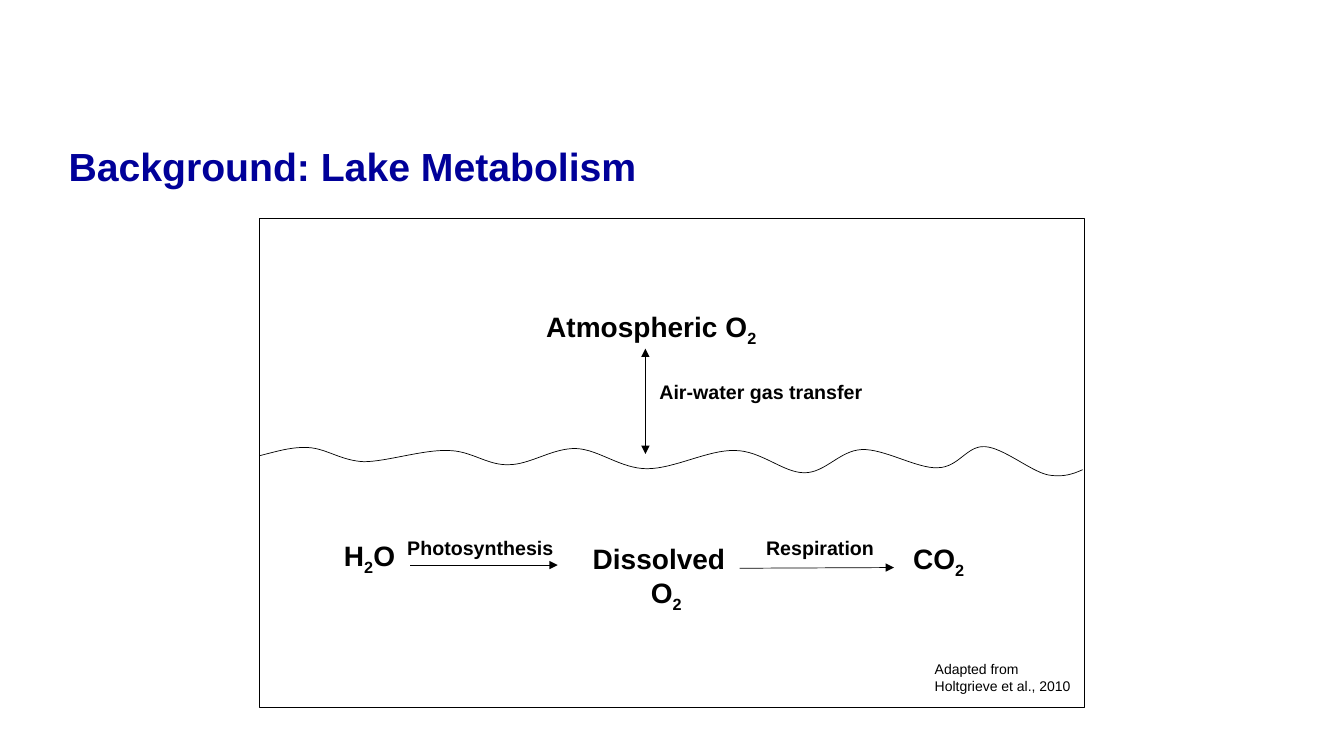
from pptx import Presentation
from pptx.dml.color import RGBColor
from pptx.enum.shapes import MSO_CONNECTOR, MSO_SHAPE
from pptx.enum.text import PP_ALIGN
from pptx.oxml.ns import qn
from pptx.util import Pt
from lxml.etree import SubElement

BLACK, NAVY = "000000", "000099"
TITLE = dict(size=Pt(28), bold=True)
SPECIES = dict(size=Pt(20), bold=True)
PROCESS = dict(size=Pt(14), bold=True)
CREDIT = dict(size=Pt(10), bold=False)

# text between underscores is subscript: name, lines, (left, top, width, height), format
LABELS = [
    ("atmosphere", ["Atmospheric O_2_"], (390.2, 221, 158, 38), SPECIES),
    ("water", ["H_2_O"], (245.7, 384.6, 47.5, 38), SPECIES),
    ("dissolved", ["Dissolved", "O_2_"], (423.4, 386.9, 105, 38), SPECIES),
    ("carbon", ["CO_2_"], (652.3, 386.9, 105, 38), SPECIES),
    ("transfer", ["Air-water gas transfer"], (471, 271.4, 213, 38), PROCESS),
    ("photosynthesis", ["Photosynthesis"], (290.9, 382.6, 110, 21), PROCESS),
    ("respiration", ["Respiration"], (547.2, 382.6, 105, 21), PROCESS),
    ("credit", ["Adapted from", "Holtgrieve et al., 2010"], (667.7, 471.6, 102, 31), CREDIT),
]
# start, end, label the arrow leaves, arrowheads
ARROWS = [
    ((461, 249), (461, 324.3), None, ("headEnd", "tailEnd")),
    ((293.2, 403.6), (398.4, 403.6), "water", ("tailEnd",)),
    ((528.4, 405.9), (638.6, 405.4), "dissolved", ("tailEnd",)),
]
FRAME = (185.3, 156.2, 589.4, 349.2)
SURFACE_START = (185.8, 325.4)
# two control points and an end point for each curve
SURFACE = [
    ((197.3, 322.6), (208.1, 319), (220.3, 319.7)),
    ((233.3, 320.4), (243.4, 329), (259.9, 329.8)),
    ((275.8, 329.8), (302.4, 321.1), (319.7, 321.8)),
    ((337, 321.8), (347.8, 332.6), (363.6, 331.9)),
    ((378.7, 331.9), (395.3, 319.7), (411.8, 320.4)),
    ((427.7, 321.1), (443.5, 334.8), (462.2, 334.8)),
    ((481.7, 334.8), (506.2, 321.1), (524.9, 321.8)),
    ((543.6, 321.8), (559.4, 337.7), (574.6, 337.7)),
    ((589.7, 337.7), (599.8, 321.8), (615.6, 321.1)),
    ((631.4, 320.4), (655.2, 334.8), (669.6, 334.1)),
    ((684.7, 334.1), (690.5, 318.2), (703.4, 319)),
    ((716.4, 319.7), (735.8, 336.2), (748.1, 339.1)),
    ((759.6, 341.3), (766.8, 338.4), (773.3, 335.5)),
]


def rgb(value):
    return RGBColor.from_string(value)


def pts(values):
    return [Pt(v) for v in values]


def set_line(sp, width):
    sp.line.color.rgb = rgb(BLACK)
    sp.line.width = Pt(width)


def add_label(s, lines, box, fmt, color=BLACK):
    sp = s.shapes.add_textbox(*pts(box))
    tf = sp.text_frame
    tf.word_wrap = True
    for side in ("left", "right", "top", "bottom"):
        setattr(tf, f"margin_{side}", 0)
    for i, line in enumerate(lines):
        p = tf.paragraphs[0] if i == 0 else tf.add_paragraph()
        for j, text in enumerate(line.split("_")):
            if not text:
                continue
            r = p.add_run()
            r.text = text
            for key, value in dict(fmt, name="Arial").items():
                setattr(r.font, key, value)
            r.font.color.rgb = rgb(color)
            if j % 2:
                r._r.get_or_add_rPr().set("baseline", "-25000")
    return sp


def add_arrow(s, start, end, source, heads):
    sp = s.shapes.add_connector(MSO_CONNECTOR.STRAIGHT, *pts(start + end))
    if source is not None:
        sp.begin_connect(source, 3)
    set_line(sp, 0.5)
    ln = sp.line._get_or_add_ln()
    for head in heads:
        SubElement(ln, qn(f"a:{head}"), type="triangle")
    SubElement(sp._element.spPr, qn("a:effectLst"))


def add_curve(s, start, curves):
    """Draw an open chain of cubic Bézier curves."""
    builder = s.shapes.build_freeform(*pts(start))
    builder.add_line_segments([pts(curve[-1]) for curve in curves], close=False)
    sp = builder.convert_to_shape()
    outline = next(sp._element.iter(qn("a:moveTo"))).getparent()
    for segment, curve in zip(outline.findall(qn("a:lnTo")), curves):
        outline.remove(segment)
        bezier = SubElement(outline, qn("a:cubicBezTo"))
        for x, y in map(pts, curve):
            SubElement(bezier, qn("a:pt"), x=str(x - sp.left), y=str(y - sp.top))
    return sp


def main():
    prs = Presentation()
    prs.slide_width, prs.slide_height = Pt(960), Pt(540)
    s = prs.slides.add_slide(prs.slide_layouts[6])

    title = add_label(s, ["Background: Lake Metabolism"], (49, 105.8, 884, 31), TITLE, NAVY)
    title.text_frame.paragraphs[0].line_spacing = 0.9

    frame = s.shapes.add_shape(MSO_SHAPE.RECTANGLE, *pts(FRAME))
    surface = add_curve(s, SURFACE_START, SURFACE)
    for sp, width in ((frame, 1), (surface, 0.5)):
        sp.shadow.inherit = False
        sp.fill.background()
        set_line(sp, width)

    labels = {name: add_label(s, *rest) for name, *rest in LABELS}
    labels["dissolved"].text_frame.paragraphs[1].alignment = PP_ALIGN.CENTER
    for start, end, source, heads in ARROWS:
        add_arrow(s, start, end, labels.get(source), heads)

    prs.save("out.pptx")


if __name__ == "__main__":
    main()
